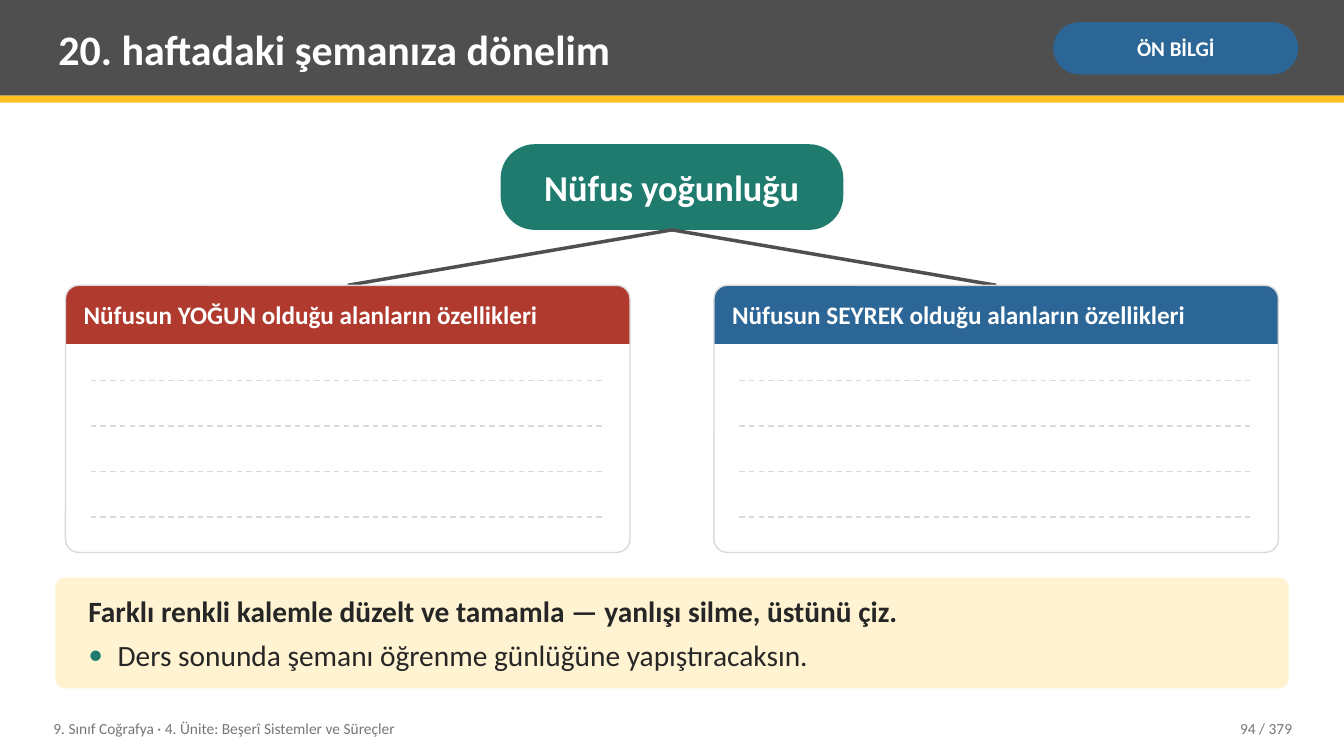
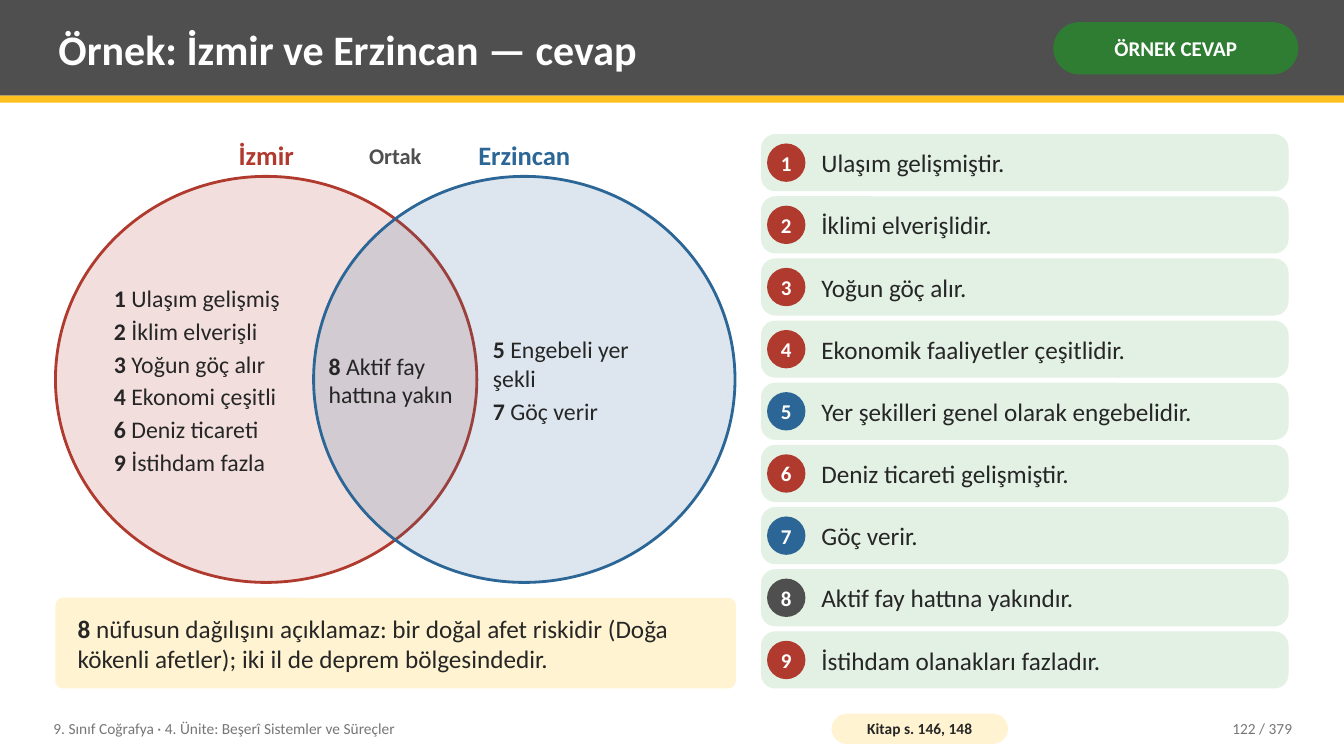
from lxml import etree
from pptx import Presentation
from pptx.dml.color import RGBColor
from pptx.enum import dml, shapes, text as txt
from pptx.oxml import ns
from pptx.util import Pt

FONT = "Calibri"
WHITE, INK, GREY, MUTED, RULE = "FFFFFF", "262626", "4F4F4F", "767676", "D9D9D9"
RED, BLUE, TEAL, GREEN = "B03A2E", "2C6696", "1E7B6E", "2E7D32"
GOLD, CREAM, MINT = "FCC021", "FFF3D1", "E3F1E4"
RECT, ROUND, OVAL, TAB = (
    shapes.MSO_SHAPE.RECTANGLE, shapes.MSO_SHAPE.ROUNDED_RECTANGLE,
    shapes.MSO_SHAPE.OVAL, shapes.MSO_SHAPE.ROUND_2_SAME_RECTANGLE)
LEFT, MID, RIGHT = txt.PP_ALIGN.LEFT, txt.PP_ALIGN.CENTER, txt.PP_ALIGN.RIGHT
W, H = 960, 540
EDGE = 39.6
rgb = RGBColor.from_string


def box(page, x, y, w, h, text=(), kind=None, adj=(), fill=None, alpha=None,
        line=None, width=1, size=18, color=INK, bold=False, align=LEFT,
        pad=(5.76, 2.88), gap=0, bullet=None, wrap=True):
    """Place a shape, or a text box when kind is None.

    text is a string or a list of paragraphs; a pair is (bold part, plain part).
    With bullet set to a colour, the paragraphs that are not pairs get bullets.
    """
    place = Pt(x), Pt(y), Pt(w), Pt(h)
    if kind is None:
        item = page.shapes.add_textbox(*place)
    else:
        item = page.shapes.add_shape(kind, *place)
        item.shadow.inherit = False
        for i, part in enumerate(adj):
            item.adjustments[i] = part
        if fill:
            item.fill.solid()
            item.fill.fore_color.rgb = rgb(fill)
        else:
            item.fill.background()
        if alpha:
            tint = item.fill._xPr.find(".//" + ns.qn("a:srgbClr"))
            etree.SubElement(tint, ns.qn("a:alpha"), val=str(alpha * 1000))
        if line:
            item.line.color.rgb = rgb(line)
            item.line.width = Pt(width)
        else:
            item.line.fill.background()
    if not text:
        return

    frame = item.text_frame
    frame.word_wrap = wrap
    frame.vertical_anchor = txt.MSO_ANCHOR.MIDDLE
    frame.margin_left = frame.margin_right = Pt(pad[0])
    frame.margin_top = frame.margin_bottom = Pt(pad[1])
    paras = [text] if isinstance(text, str) else text
    for i, para in enumerate(paras):
        p = frame.paragraphs[0] if i == 0 else frame.add_paragraph()
        p.alignment = align
        if i < len(paras) - 1:
            p.space_after = Pt(gap)
        pair = isinstance(para, tuple)
        if bullet and not pair:
            props = p._p.get_or_add_pPr()
            props.set("marL", str(Pt(21)))
            props.set("indent", str(-Pt(21)))
            tone = etree.SubElement(props, ns.qn("a:buClr"))
            etree.SubElement(tone, ns.qn("a:srgbClr"), val=bullet)
            etree.SubElement(props, ns.qn("a:buFont"), typeface=FONT)
            etree.SubElement(props, ns.qn("a:buChar"), char="•")
        runs = zip(para, (True, False)) if pair else [(para, bold)]
        for words, heavy in runs:
            if words:
                run = p.add_run()
                run.text = words
                run.font.name = FONT
                run.font.size = Pt(size)
                run.font.bold = heavy
                run.font.color.rgb = rgb(color)


def rule(page, x1, y1, x2, y2, color, width, dash=None):
    """Draw a straight line without a shadow."""
    item = page.shapes.add_connector(
        shapes.MSO_CONNECTOR.STRAIGHT, Pt(x1), Pt(y1), Pt(x2), Pt(y2))
    item.line.color.rgb = rgb(color)
    item.line.width = Pt(width)
    if dash:
        item.line.dash_style = dash
    etree.SubElement(item._element.spPr, ns.qn("a:effectLst"))


deck = Presentation()
deck.slide_width, deck.slide_height = Pt(W), Pt(H)

# Shared frame: title band, tag and footer
pages = []
for title, tag, tint, number in (
        ("20. haftadaki şemanıza dönelim", "ÖN BİLGİ", BLUE, "94 / 379"),
        ("Örnek: İzmir ve Erzincan — cevap", "ÖRNEK CEVAP", GREEN, "122 / 379")):
    page = deck.slides.add_slide(deck.slide_layouts[6])
    box(page, 0, 0, W, 68.4, kind=RECT, fill=GREY)
    box(page, 0, 68.4, W, 5, kind=RECT, fill=GOLD)
    box(page, 36, 5, 702, 59, title, size=30, color=WHITE, bold=True)
    box(page, 752.4, 15.8, 175, 37.4, tag, kind=ROUND, adj=[0.5], fill=tint,
        size=15, color=WHITE, bold=True, align=MID, pad=(3.6, 1.44))
    box(page, 32.4, 507, 547, 26,
        "9. Sınıf Coğrafya · 4. Ünite: Beşerî Sistemler ve Süreçler",
        size=11, color=MUTED)
    box(page, 813.6, 507, 115.2, 26, number, size=11, color=MUTED, align=RIGHT)
    pages.append(page)
plan, answer = pages

# Slide 1: concept and its two branches
hub, foot = 244.8, 164.2
box(plan, (W - hub) / 2, 103, hub, foot - 103, "Nüfus yoğunluğu", kind=ROUND,
    adj=[0.4], fill=TEAL, size=26, color=WHITE, bold=True, align=MID,
    pad=(10, 5.76))

card, top, tall, head = 403.2, 203.8, 190.8, 41.8
for x, tint, name in ((46.8, RED, "YOĞUN"), (W - 46.8 - card, BLUE, "SEYREK")):
    rule(plan, W / 2, foot, x + card / 2, top, GREY, 2.5)
    box(plan, x, top, card, head, kind=TAB, adj=[0.23, 0], fill=tint)
    box(plan, x + 7.2, top, card - 14.4, head,
        f"Nüfusun {name} olduğu alanların özellikleri", color=WHITE, bold=True)
    box(plan, x, top, card, tall, kind=ROUND, adj=[0.05], line=RULE)
    for row in range(4):
        y = 272 + row * 32.4
        rule(plan, x + 18, y, x + card - 18, y, RULE, 1,
             dml.MSO_LINE.DASH)

# Slide 1: task
box(plan, EDGE, 412.6, W - 2 * EDGE, 79.2,
    [("Farklı renkli kalemle düzelt ve tamamla — yanlışı silme, üstünü çiz.", ""),
     "Ders sonunda şemanı öğrenme günlüğüne yapıştıracaksın."],
    kind=ROUND, adj=[0.08], fill=CREAM, size=21, pad=(21.6, 5.76), gap=6,
    bullet=TEAL)

# Slide 2: Venn diagram
ring, shift = 301, 184.4
for x, tint, city in ((EDGE, RED, "İzmir"), (EDGE + shift, BLUE, "Erzincan")):
    box(answer, x, 126, ring, 290, kind=OVAL, fill=tint, alpha=16, line=tint,
        width=2)
    box(answer, x, 95.8, ring, 30.2, city, size=19, color=tint, bold=True,
        align=MID)
box(answer, EDGE + shift, 95.8, ring - shift, 30.2, "Ortak", size=16,
    color=GREY, bold=True, align=MID)

for x, w, facts in (
        (75.6, 142.6, [("1", " Ulaşım gelişmiş"), ("2", " İklim elverişli"),
                       ("3", " Yoğun göç alır"), ("4", " Ekonomi çeşitli"),
                       ("6", " Deniz ticareti"), ("9", " İstihdam fazla")]),
        (229, 108, [("8", " Aktif fay hattına yakın")]),
        (346.3, 142.6, [("5", " Engebeli yer şekli"), ("7", " Göç verir")])):
    box(answer, x, 175.7, w, 191.5, facts, size=17, gap=3)

# Slide 2: note under the diagram
box(answer, EDGE, 427, 486, 64.8,
    [("8", " nüfusun dağılışını açıklamaz: bir doğal afet riskidir (Doğa kökenli "
           "afetler); iki il de deprem bölgesindedir.")],
    kind=ROUND, adj=[0.08], fill=CREAM, pad=(14.4, 5.76))

# Slide 2: numbered statements, dot colour shows the set
left, bar, dot = 543.6, 40.8, 27.4
for i, (tint, fact) in enumerate((
        (RED, "Ulaşım gelişmiştir."),
        (RED, "İklimi elverişlidir."),
        (RED, "Yoğun göç alır."),
        (RED, "Ekonomik faaliyetler çeşitlidir."),
        (BLUE, "Yer şekilleri genel olarak engebelidir."),
        (RED, "Deniz ticareti gelişmiştir."),
        (BLUE, "Göç verir."),
        (GREY, "Aktif fay hattına yakındır."),
        (RED, "İstihdam olanakları fazladır."))):
    y = 95.8 + i * (bar + 3.6)
    box(answer, left, y, W - EDGE - left, bar, kind=ROUND, adj=[0.25], fill=MINT)
    box(answer, left + 4.3, y + (bar - dot) / 2, dot, dot, str(i + 1), kind=OVAL,
        fill=tint, size=15, color=WHITE, bold=True, align=MID, pad=(0, 0),
        wrap=False)
    box(answer, left + 37.4, y, 335.5, bar, fact)

# Slide 2: book pages
box(answer, 594, 509.8, 126, 21.6, "Kitap s. 146, 148", kind=ROUND, adj=[0.5],
    fill=CREAM, size=11, bold=True, align=MID, pad=(2.88, 0))

deck.save("out.pptx")
